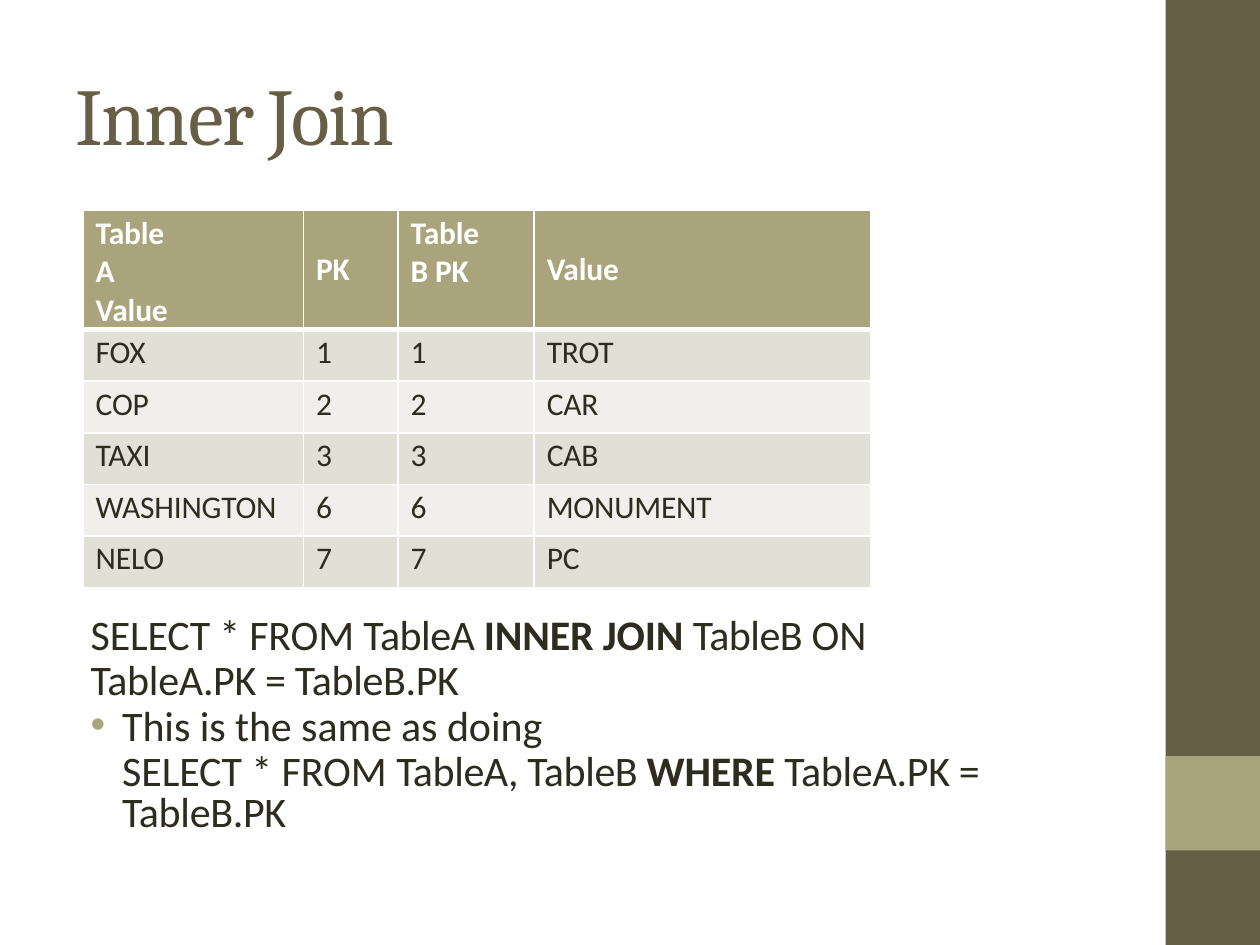
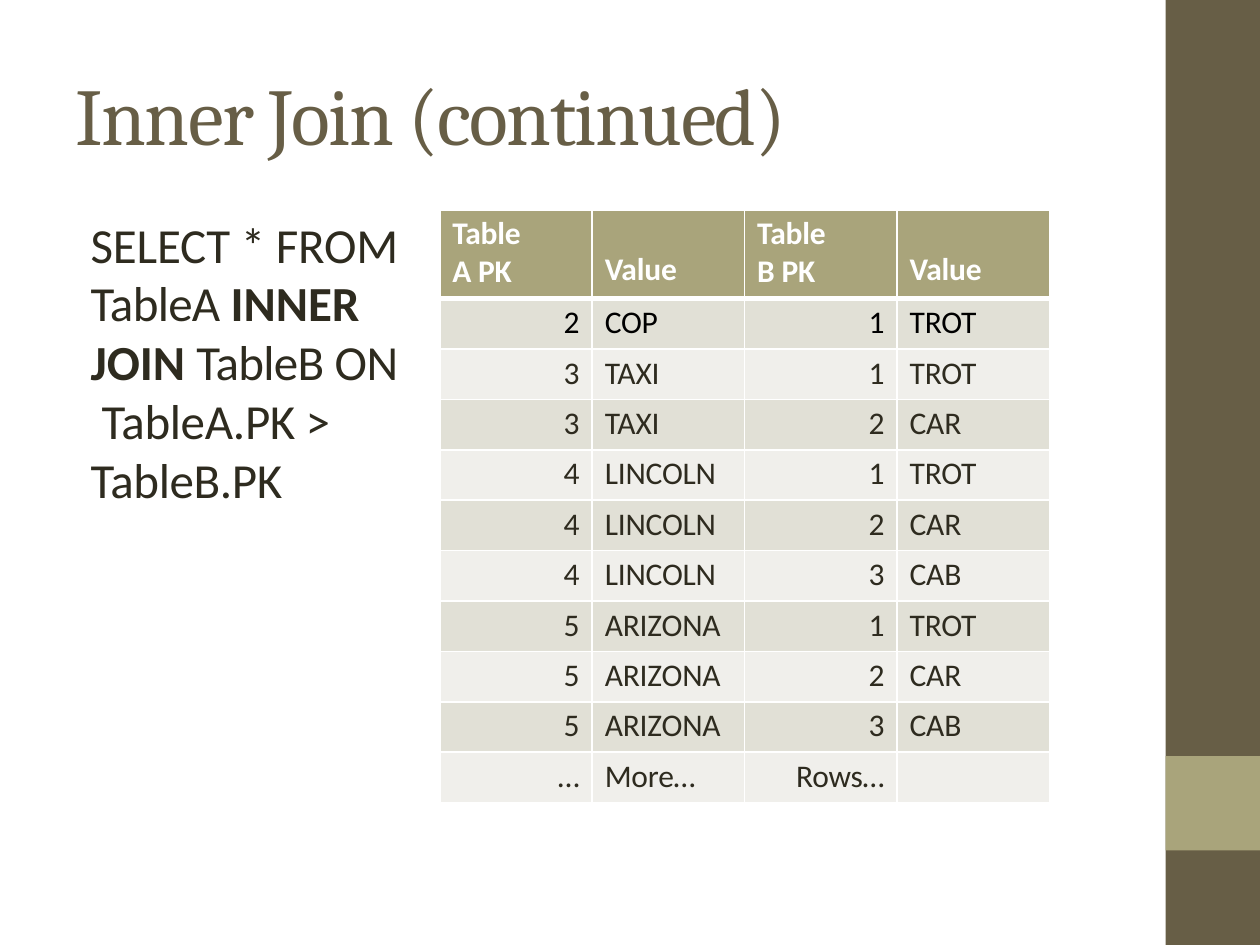
from lxml import etree
from pptx import Presentation
from pptx.dml.color import RGBColor
from pptx.enum import shapes, text
from pptx.oxml.ns import qn
from pptx.util import Emu, Inches, Pt

OLIVE = RGBColor(0x67, 0x5E, 0x46)
KHAKI = RGBColor(0xA9, 0xA4, 0x7B)
INK = RGBColor(0x2E, 0x2B, 0x1F)
BLACK = RGBColor(0, 0, 0)
WHITE = RGBColor(0xFF, 0xFF, 0xFF)
STRIPES = (RGBColor(0xE1, 0xE0, 0xD6), RGBColor(0xF0, 0xEF, 0xEB))
BODY, HEADING = "Calibri", "Cambria"
PAD = 0.1            # side margin of a cell
WRAP_WIDTH = 0.62    # narrow text width of the "Table" headers

# A paragraph is a list of (text, bold, letter spacing) and a dict of format.
LINE = {"line_spacing": Pt(25.9), "space_before": Pt(0)}
SLIDES = [
    {
        "title": "Inner Join", "title_width": 2.61,
        "box": (0.71, 4.86, 7.18, 1.79), "size": 24,
        "paragraphs": [
            ([("SELECT * FROM ", False, -0.1), ("TableA ", False, -0.3),
              ("INNER JOIN ", True, -0.1), ("TableB ", False, -0.3),
              ("ON", False, -0.1)], LINE, None),
            ([("TableA.PK = TableB.PK", False, -0.2)], LINE, None),
            ([("This is the same as doing", False, -0.05)], LINE, "bullet"),
            ([("SELECT * FROM ", False, -0.05), ("TableA, TableB ", False, -0.25),
              ("WHERE ", True, -0.1), ("TableA.PK = TableB.PK", False, -0.2)],
             {"line_spacing": 0.8, "space_before": Pt(2.9)}, "indent"),
        ],
        "table_at": (0.66, 1.67), "columns": (1.75, 0.75, 1.08, 2.67),
        "row_height": 0.41, "top_margin": 0.03, "right_columns": (),
        "first_row_color": INK,
        "rows": [
            ("TableA Value", "PK", "TableB PK", "Value"),
            ("FOX", "1", "1", "TROT"),
            ("COP", "2", "2", "CAR"),
            ("TAXI", "3", "3", "CAB"),
            ("WASHINGTON", "6", "6", "MONUMENT"),
            ("NELO", "7", "7", "PC"),
        ],
    },
    {
        "title": "Inner Join (continued)", "title_width": 5.81,
        "box": (0.71, 1.69, 2.51, 2.36), "size": 28,
        "paragraphs": [
            ([("SELECT * FROM", False, -0.1)], {}, None),
            ([("TableA ", False, -0.4), ("INNER JOIN ", True, 0),
              ("TableB ", False, -0.4), ("ON  ", False, -0.1),
              ("TableA.PK > TableB.PK", False, -0.2)], {}, None),
        ],
        "table_at": (3.49, 1.67), "columns": (1.21,) * 4,
        "row_height": 0.4, "top_margin": 0.04, "right_columns": (0, 2),
        "first_row_color": BLACK,
        "rows": [
            ("TableA PK", "Value", "TableB PK", "Value"),
            ("2", "COP", "1", "TROT"),
            ("3", "TAXI", "1", "TROT"),
            ("3", "TAXI", "2", "CAR"),
            ("4", "LINCOLN", "1", "TROT"),
            ("4", "LINCOLN", "2", "CAR"),
            ("4", "LINCOLN", "3", "CAB"),
            ("5", "ARIZONA", "1", "TROT"),
            ("5", "ARIZONA", "2", "CAR"),
            ("5", "ARIZONA", "3", "CAB"),
            ("…", "More…", "Rows…", ""),
        ],
    },
]


def set_all(obj, values):
    """Set each attribute of obj named in values."""
    for name, value in values.items():
        setattr(obj, name, value)


def add_run(p, words, size, color, font=BODY, bold=False, spacing=0):
    """Add one formatted run; spacing between letters is in points."""
    r = p.add_run()
    r.text = words
    set_all(r.font, {"size": Pt(size), "name": font, "bold": bold})
    r.font.color.rgb = color
    r._r.get_or_add_rPr().set("spc", str(round(spacing * 100)))


def prepare_frame(tf):
    """Give a text frame small margins, top anchor and wrapping."""
    set_all(tf, {"margin_left": 0, "margin_right": 0, "margin_bottom": 0,
                 "margin_top": Inches(0.01), "word_wrap": True,
                 "vertical_anchor": text.MSO_ANCHOR.TOP,
                 "auto_size": text.MSO_AUTO_SIZE.NONE})


def place(sp, left, top, width, height):
    """Move and size a shape in inches."""
    set_all(sp, {"left": Inches(left), "top": Inches(top),
                 "width": Inches(width), "height": Inches(height)})


def add_side_band(slide):
    """Draw the dark band at the right with its lighter square."""
    for top, height, color in ((0, 7.5, OLIVE), (6, 0.75, KHAKI)):
        sp = slide.shapes.add_shape(
            shapes.MSO_SHAPE.RECTANGLE, Inches(9.25), Inches(top),
            Inches(0.75), Inches(height))
        sp.shadow.inherit = False
        sp.fill.solid()
        sp.fill.fore_color.rgb = color
        sp.line.fill.background()


def add_title(slide, words, width):
    """Format and fill the title placeholder."""
    sp = slide.shapes.title
    place(sp, 0.59, 0.51, width, 0.8)
    prepare_frame(sp.text_frame)
    p = sp.text_frame.paragraphs[0]
    p.alignment = text.PP_ALIGN.LEFT
    p._p.get_or_add_pPr().set("marL", str(Inches(0.01)))
    add_run(p, words, 46, OLIVE, HEADING, spacing=-0.9)


def indent(p, style):
    """Set the indent of a paragraph, with a bullet if the style asks."""
    pPr = p._p.get_or_add_pPr()
    pPr.set("marL", str(Inches(0.26 if style else 0.01)))
    if style == "bullet":
        pPr.set("indent", str(Inches(-0.25)))
        color = etree.SubElement(pPr, qn("a:buClr"))
        etree.SubElement(color, qn("a:srgbClr"), val=str(KHAKI))
        etree.SubElement(pPr, qn("a:buFont"), typeface="Arial")
        etree.SubElement(pPr, qn("a:buChar"), char="•")


def add_query(slide, data):
    """Write the SQL text box."""
    tf = slide.shapes.add_textbox(*map(Inches, data["box"])).text_frame
    prepare_frame(tf)
    for i, (runs, form, style) in enumerate(data["paragraphs"]):
        p = tf.add_paragraph() if i else tf.paragraphs[0]
        set_all(p, form)
        indent(p, style)
        for words, bold, spacing in runs:
            add_run(p, words, data["size"], INK, bold=bold, spacing=spacing)


def add_borders(cell, top, bottom):
    """Draw white cell borders, 1 pt at the sides."""
    tcPr = cell._tc.get_or_add_tcPr()
    sides = (("a:lnL", 1), ("a:lnR", 1), ("a:lnT", top), ("a:lnB", bottom))
    for i, (tag, width) in enumerate(sides):
        ln = etree.Element(qn(tag), w=str(Pt(width)))
        fill = etree.SubElement(ln, qn("a:solidFill"))
        etree.SubElement(fill, qn("a:srgbClr"), val=str(WHITE))
        tcPr.insert(i, ln)


def add_join_table(slide, data):
    """Build the result table with its header and striped rows."""
    rows, columns = data["rows"], data["columns"]
    heights = [0.7] + [data["row_height"]] * (len(rows) - 1)
    left, top = data["table_at"]
    table = slide.shapes.add_table(
        len(rows), len(columns), Inches(left), Inches(top),
        Inches(sum(columns)), Inches(sum(heights))).table
    for c, width in enumerate(columns):
        table.columns[c].width = Inches(width)
    for r, row in enumerate(rows):
        table.rows[r].height = Inches(heights[r])
        for c, words in enumerate(row):
            cell = table.cell(r, c)
            margin_top, margin_right = data["top_margin"], PAD
            color = data["first_row_color"] if r == 1 else INK
            if r == 0:
                color = WHITE
                if words.startswith("Table"):
                    margin_top = 0.03
                    margin_right = columns[c] - PAD - WRAP_WIDTH
                else:
                    margin_top = 0.32
            set_all(cell, {"margin_left": Inches(PAD), "margin_bottom": Emu(0),
                           "margin_top": Inches(margin_top),
                           "margin_right": Inches(margin_right)})
            cell.fill.solid()
            cell.fill.fore_color.rgb = STRIPES[(r - 1) % 2] if r else KHAKI
            add_borders(cell, 3 if r == 1 else 1, 1 if r else 3)
            p = cell.text_frame.paragraphs[0]
            if r and c in data["right_columns"]:
                p.alignment = text.PP_ALIGN.RIGHT
            if words:
                add_run(p, words, 18, color, bold=r == 0, spacing=-0.1)


prs = Presentation()
prs.slide_width, prs.slide_height = Inches(10), Inches(7.5)
for data in SLIDES:
    slide = prs.slides.add_slide(prs.slide_layouts[5])
    add_side_band(slide)
    add_title(slide, data["title"], data["title_width"])
    add_query(slide, data)
    add_join_table(slide, data)
prs.save("out.pptx")
